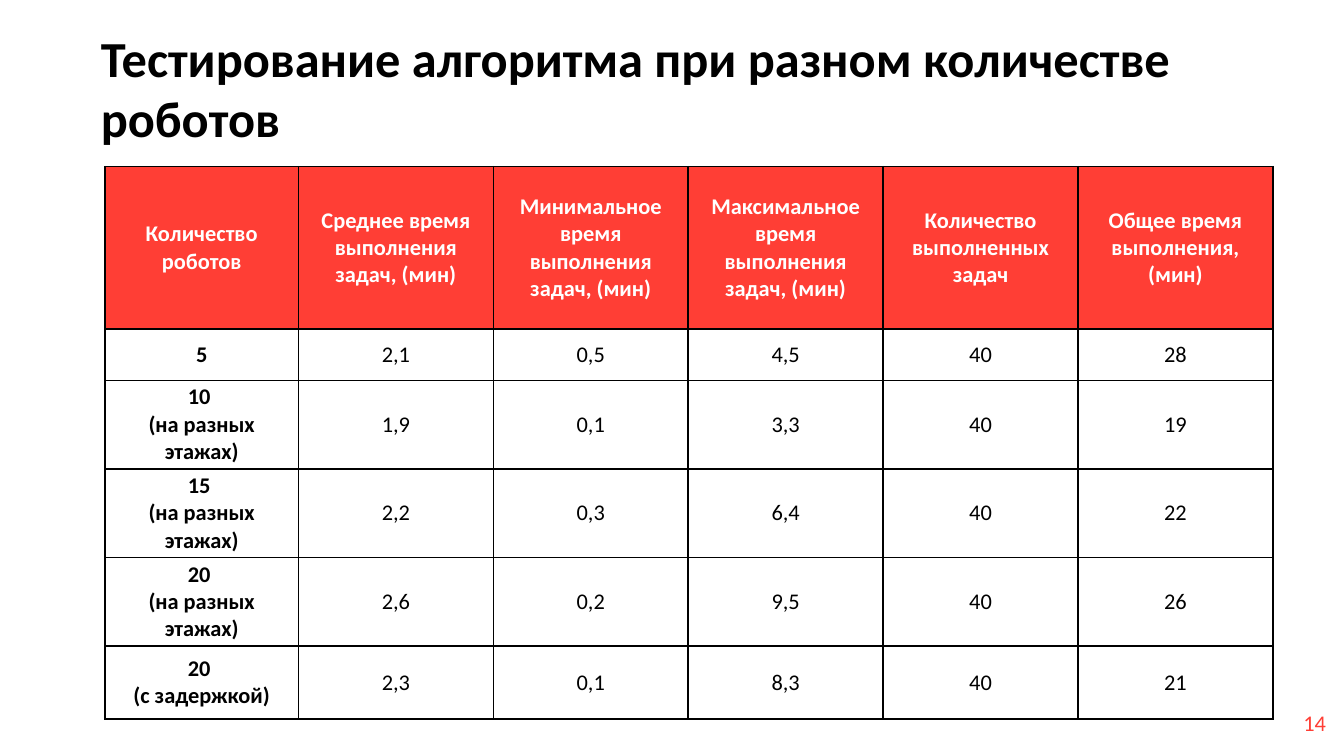
from copy import deepcopy
from dataclasses import dataclass

from lxml import etree
from pptx import Presentation
from pptx.dml.color import RGBColor
from pptx.enum.text import MSO_ANCHOR, MSO_AUTO_SIZE, PP_ALIGN
from pptx.oxml.ns import qn
from pptx.util import Pt

MIDDLE, BOTTOM = MSO_ANCHOR.MIDDLE, MSO_ANCHOR.BOTTOM
LEFT, CENTER = PP_ALIGN.LEFT, PP_ALIGN.CENTER
NO_FIT, GROW = MSO_AUTO_SIZE.NONE, MSO_AUTO_SIZE.SHAPE_TO_FIT_TEXT

COLORS = {"black": "000000", "white": "FFFFFF", "red": "FF3E35"}
FONT = "Calibri"
COLUMN_WIDTHS = [103.7] + [104.4] * 5
HEADER_HEIGHT = 87.1
HEADERS = [
    "Количество роботов",
    "Среднее время выполнения задач, (мин)",
    "Минимальное время выполнения задач, (мин)",
    "Максимальное время выполнения задач, (мин)",
    "Количество выполненных задач",
    "Общее время выполнения, (мин)",
]
TITLE_FRAME = {
    "word_wrap": True, "auto_size": NO_FIT, "vertical_anchor": BOTTOM,
    "margin_left": Pt(7.2), "margin_right": Pt(7.2),
    "margin_top": Pt(7.2), "margin_bottom": Pt(7.2),
}
CELL_FORMAT = {
    "vertical_anchor": MIDDLE, "margin_left": Pt(3), "margin_right": Pt(3),
    "margin_top": Pt(0), "margin_bottom": Pt(0),
}


@dataclass
class TestRun:
    robots: str
    mean: str
    shortest: str
    longest: str
    total: str
    height: float
    tasks: str = "40"

    def values(self) -> list[str]:
        return [self.robots, self.mean, self.shortest, self.longest, self.tasks, self.total]


TEST_RUNS = [
    TestRun("5", "2,1", "0,5", "4,5", "28", 27.4),
    TestRun("10 \v(на разных этажах)", "1,9", "0,1", "3,3", "19", 47.5),
    TestRun("15 \v(на разных этажах)", "2,2", "0,3", "6,4", "22", 47.5),
    TestRun("20 \v(на разных этажах)", "2,6", "0,2", "9,5", "26", 47.5),
    TestRun("20 \v(с задержкой)", "2,3", "0,1", "8,3", "21", 38.9),
]


def set_attrs(obj, values: dict) -> None:
    for name, value in values.items():
        setattr(obj, name, value)


def write(tf, text: str, size: float, color: str, bold: bool, align) -> None:
    p = tf.paragraphs[0]
    p.text = text
    p.alignment = align
    for r in p.runs:
        set_attrs(r.font, {"name": FONT, "size": Pt(size), "bold": bold})
        r.font.color.rgb = RGBColor.from_string(COLORS[color])
    for br in p._p.findall(qn("a:br")):
        br.insert(0, deepcopy(p.runs[0]._r.rPr))


def add_borders(cell) -> None:
    tc_pr = cell._tc.get_or_add_tcPr()
    for i, side in enumerate(("a:lnL", "a:lnR", "a:lnT", "a:lnB")):
        ln = etree.Element(qn(side), w=str(Pt(1)))
        fill = etree.SubElement(ln, qn("a:solidFill"))
        etree.SubElement(fill, qn("a:srgbClr"), val=COLORS["black"])
        tc_pr.insert(i, ln)


def fill_cell(cell, text: str, header: bool, bold: bool) -> None:
    set_attrs(cell, CELL_FORMAT)
    write(cell.text_frame, text, 12, "white" if header else "black", bold, CENTER)
    cell.text_frame.paragraphs[0].space_after = Pt(8)
    cell.fill.solid()
    cell.fill.fore_color.rgb = RGBColor.from_string(COLORS["red" if header else "white"])
    add_borders(cell)


def add_results(s) -> None:
    rows = [HEADERS] + [run.values() for run in TEST_RUNS]
    heights = [HEADER_HEIGHT] + [run.height for run in TEST_RUNS]
    frame = s.shapes.add_table(
        len(rows), len(HEADERS), Pt(56.2), Pt(89.3),
        Pt(sum(COLUMN_WIDTHS)), Pt(sum(heights)),
    )
    table = frame.table
    for column, width in zip(table.columns, COLUMN_WIDTHS):
        column.width = Pt(width)
    for i, (row, height) in enumerate(zip(rows, heights)):
        table.rows[i].height = Pt(height)
        for j, text in enumerate(row):
            fill_cell(table.cell(i, j), text, i == 0, i == 0 or j == 0)


def main() -> None:
    prs = Presentation()
    set_attrs(prs, {"slide_width": Pt(720), "slide_height": Pt(405)})
    s = prs.slides.add_slide(prs.slide_layouts[5])

    title = s.shapes.title
    set_attrs(title, {"left": Pt(46.8), "top": Pt(20.9), "width": Pt(626.4), "height": Pt(65.5)})
    set_attrs(title.text_frame, TITLE_FRAME)
    write(title.text_frame, "Тестирование алгоритма при разном количестве роботов", 27, "black", True, LEFT)

    number = s.shapes.add_textbox(Pt(691.2), Pt(376.6), Pt(28), Pt(21.8))
    set_attrs(number.text_frame, {"word_wrap": False, "auto_size": GROW})
    write(number.text_frame, "14", 12, "red", False, LEFT)

    add_results(s)
    prs.save("out.pptx")


if __name__ == "__main__":
    main()
